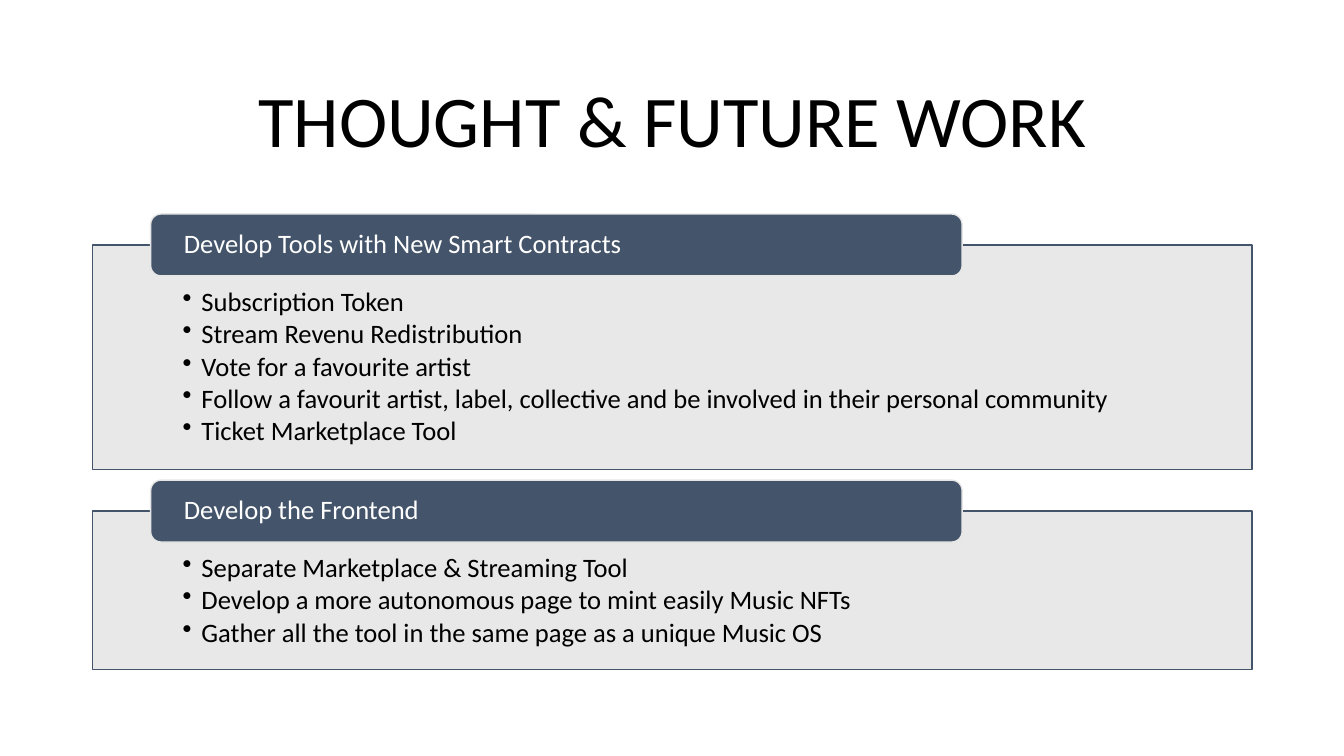
from lxml.etree import SubElement
from pptx import Presentation
from pptx.dml.color import RGBColor
from pptx.enum.shapes import MSO_SHAPE
from pptx.enum.text import MSO_ANCHOR, PP_ALIGN
from pptx.oxml.ns import qn
from pptx.util import Pt

HUES = {"text": "000000", "light": "FFFFFF", "slate": "44546A", "pale": "E7E6E6"}
LEFT, WIDE = 66.24, 828
TOP, GAP = 174.96, 29.5
ROW, PAD = 23.76, 41.8
BAR = 44.2

TOPICS = [
    ("Develop Tools with New Smart Contracts", [
        "Subscription Token",
        "Stream Revenu Redistribution",
        "Vote for a favourite artist",
        "Follow a favourit artist, label, collective and be involved in their personal community",
        "Ticket Marketplace Tool",
    ]),
    ("Develop the Frontend", [
        "Separate Marketplace & Streaming Tool",
        "Develop a more autonomous page to mint easily Music NFTs",
        "Gather all the tool in the same page as a unique Music OS",
    ]),
]


class Deck:
    """Holds the text style and the current slide."""
    face = "Calibri"
    size = 19

    def __init__(self, slide):
        self.slide = slide

    def hue(self, name):
        return RGBColor.from_string(HUES[name])

    def label(self, shape, lines, hue, size, inset, anchor, align=PP_ALIGN.LEFT, after=0):
        """Fill the shape with one paragraph a line and return the paragraphs."""
        frame = shape.text_frame
        frame.word_wrap = True
        frame.vertical_anchor = anchor
        left, top, right, base = inset
        frame.margin_left, frame.margin_top = Pt(left), Pt(top)
        frame.margin_right, frame.margin_bottom = Pt(right), Pt(base)
        frame.text = "\n".join(lines)
        for para in frame.paragraphs:
            para.alignment = align
            para.line_spacing = 0.9
            para.space_after = Pt(after)
            para.font.name = self.face
            para.font.size = Pt(size)
            para.font.color.rgb = self.hue(hue)
        return frame.paragraphs

    def box(self, kind, x, y, w, h, fill, line):
        shape = self.slide.shapes.add_shape(kind, Pt(x), Pt(y), Pt(w), Pt(h))
        shape.shadow.inherit = False
        shape.fill.solid()
        shape.fill.fore_color.rgb = self.hue(fill)
        shape.line.color.rgb = self.hue(line)
        shape.line.width = Pt(1)
        return shape

    def title(self, text):
        shape = self.slide.shapes.add_textbox(Pt(LEFT), Pt(44), Pt(WIDE), Pt(89))
        self.label(shape, [text], "text", 52, (7.2, 3.6, 7.2, 3.6),
                   MSO_ANCHOR.MIDDLE, PP_ALIGN.CENTER)

    def panel(self, y, h, items):
        shape = self.box(MSO_SHAPE.RECTANGLE, LEFT, y, WIDE, h, "pale", "slate")
        tint = shape.element.spPr.find(qn("a:solidFill")).find(qn("a:srgbClr"))
        SubElement(tint, qn("a:alpha"), val="90000")
        paras = self.label(shape, items, "text", self.size, (64.2, 31, 64.2, 10.8),
                           MSO_ANCHOR.TOP, after=2.6)
        for para in paras:
            para.level = 1
            props = para._p.get_or_add_pPr()
            props.set("marL", str(Pt(13.5)))
            props.set("indent", str(-Pt(13.5)))
            mark = props.makeelement(qn("a:buChar"), {"char": "•"})
            props.find(qn("a:defRPr")).addprevious(mark)

    def header(self, y, text):
        shape = self.box(MSO_SHAPE.ROUNDED_RECTANGLE, LEFT + WIDE * 0.05, y - BAR / 2,
                         WIDE * 0.7, BAR, "slate", "pale")
        self.label(shape, [text], "light", self.size, (21.6, 0, 21.6, 0), MSO_ANCHOR.MIDDLE)


def main():
    show = Presentation()
    show.slide_width, show.slide_height = Pt(960), Pt(540)
    deck = Deck(show.slides.add_slide(show.slide_layouts[6]))
    deck.title("THOUGHT & FUTURE WORK")
    y = TOP
    for head, items in TOPICS:
        h = PAD + ROW * len(items)
        deck.panel(y, h, items)
        deck.header(y, head)
        y += h + GAP
    show.save("out.pptx")


if __name__ == "__main__":
    main()
